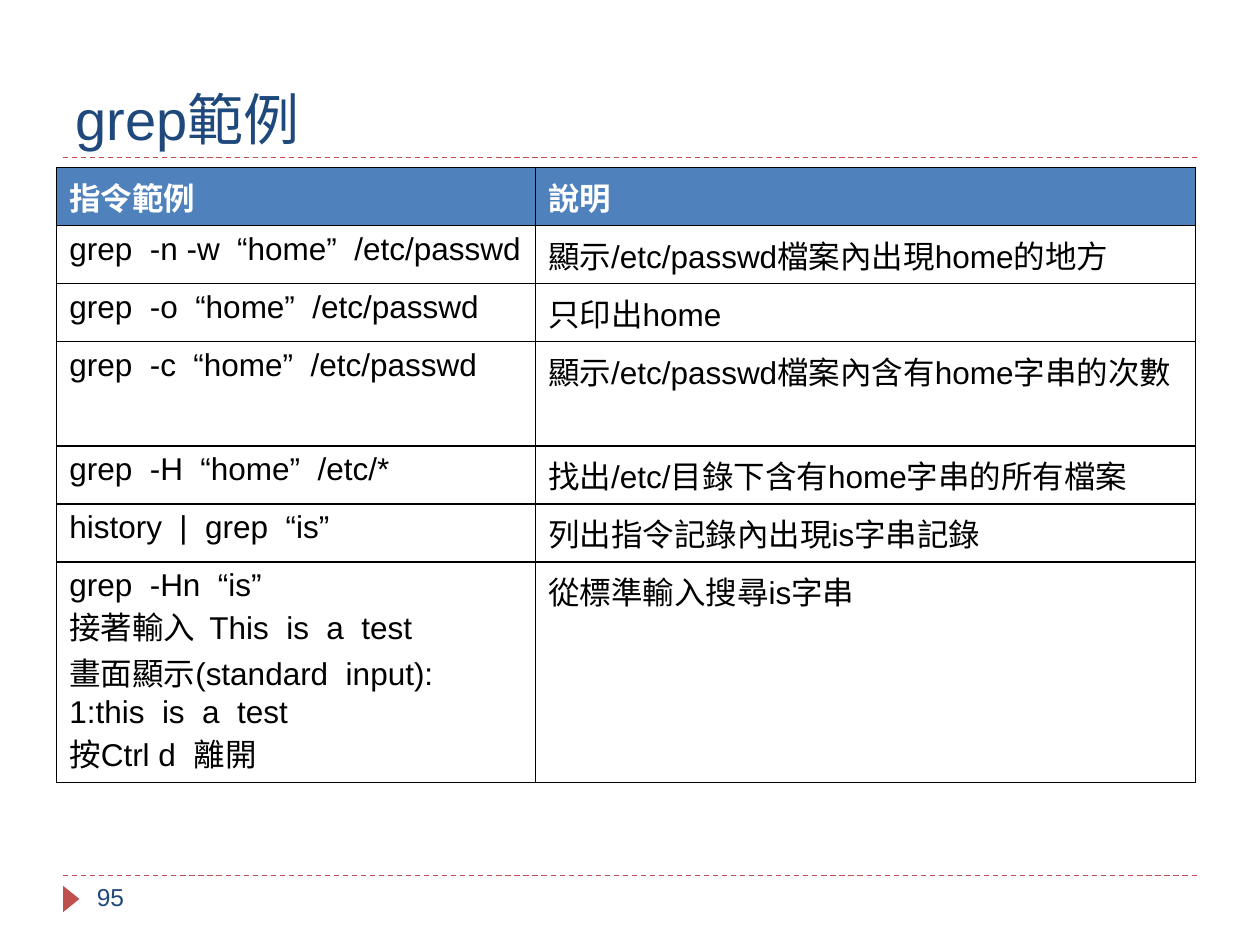
import dataclasses
import pptx
import pptx.dml.color
import pptx.enum.dml
import pptx.enum.shapes
import pptx.enum.text
import pptx.oxml
import pptx.oxml.ns
import pptx.util
from pptx.util import Inches

RGB = pptx.dml.color.RGBColor.from_string


@dataclasses.dataclass(frozen=True)
class Theme:
    font: str = "Arial"
    navy: str = "1F497D"
    blue: str = "4F81BD"
    red: str = "C0504D"
    black: str = "000000"
    white: str = "FFFFFF"
    title: int = 32
    body: int = 18
    page: int = 14


@dataclasses.dataclass(frozen=True)
class Row:
    code: str
    note: str
    high: float = 0.46


THEME = Theme()
ROWS = [
    Row("指令範例", "說明"),
    Row("grep  -n -w  “home”  /etc/passwd", "顯示/etc/passwd檔案內出現home的地方"),
    Row("grep  -o  “home”  /etc/passwd", "只印出home"),
    Row("grep  -c  “home”  /etc/passwd", "顯示/etc/passwd檔案內含有home字串的次數", 0.83),
    Row("grep  -H  “home”  /etc/*", "找出/etc/目錄下含有home字串的所有檔案"),
    Row("history  |  grep  “is”", "列出指令記錄內出現is字串記錄"),
    Row("grep  -Hn  “is”\n接著輸入  This  is  a  test\n畫面顯示(standard  input):\n"
        "1:this  is  a  test\n按Ctrl d  離開", "從標準輸入搜尋is字串", 1.75),
]


def write(frame, text: str, size: int, color: str, bold: bool = False) -> None:
    frame.word_wrap = True
    frame.text = text
    for para in frame.paragraphs:
        para.font.name = THEME.font
        para.font.size = pptx.util.Pt(size)
        para.font.bold = bold
        para.font.color.rgb = RGB(color)


def add_text(slide, box: tuple, text: str, size: int, anchor) -> None:
    frame = slide.shapes.add_textbox(*map(Inches, box)).text_frame
    write(frame, text, size, THEME.navy)
    frame.vertical_anchor = anchor


def add_rule(slide, y: float) -> None:
    rule = slide.shapes.add_connector(
        pptx.enum.shapes.MSO_CONNECTOR.STRAIGHT,
        Inches(0.5), Inches(y), Inches(9.5), Inches(y))
    rule.line.color.rgb = RGB(THEME.red)
    rule.line.width = pptx.util.Pt(0.75)
    rule.line.dash_style = pptx.enum.dml.MSO_LINE.DASH
    props = rule.element.find(pptx.oxml.ns.qn("p:spPr"))
    props.append(pptx.oxml.parse_xml(
        f'<a:effectLst {pptx.oxml.ns.nsdecls("a")}/>'))


def add_mark(slide) -> None:
    mark = slide.shapes.add_shape(
        pptx.enum.shapes.MSO_SHAPE.ISOSCELES_TRIANGLE,
        Inches(0.46), Inches(7.07), Inches(0.21), Inches(0.13))
    mark.rotation = 90
    mark.shadow.inherit = False
    mark.fill.solid()
    mark.fill.fore_color.rgb = RGB(THEME.red)
    mark.line.fill.background()


def add_edges(cell) -> None:
    props = cell._tc.get_or_add_tcPr()
    for i, side in enumerate(("lnL", "lnR", "lnT", "lnB")):
        props.insert(i, pptx.oxml.parse_xml(
            f'<a:{side} {pptx.oxml.ns.nsdecls("a")} w="{pptx.util.Pt(1)}">'
            f'<a:solidFill><a:srgbClr val="{THEME.black}"/></a:solidFill>'
            f'</a:{side}>'))


def fill_cell(cell, text: str, head: bool) -> None:
    write(cell.text_frame, text, THEME.body,
          THEME.white if head else THEME.black, head)
    if head:
        cell.fill.solid()
        cell.fill.fore_color.rgb = RGB(THEME.blue)
    else:
        cell.fill.background()
    add_edges(cell)


def add_grid(slide, rows: list[Row]) -> None:
    grid = slide.shapes.add_table(
        len(rows), 2, Inches(0.45), Inches(1.33),
        Inches(9.04), Inches(sum(row.high for row in rows))).table
    grid.horz_banding = False
    for col, width in zip(grid.columns, (3.8, 5.24)):
        col.width = Inches(width)
    for i, row in enumerate(rows):
        grid.rows[i].height = Inches(row.high)
        for j, text in enumerate((row.code, row.note)):
            fill_cell(grid.cell(i, j), text, i == 0)


def main() -> None:
    deck = pptx.Presentation()
    deck.slide_width, deck.slide_height = Inches(10), Inches(7.5)
    slide = deck.slides.add_slide(deck.slide_layouts[6])
    for y in (6.95, 1.25):
        add_rule(slide, y)
    add_mark(slide)
    anchor = pptx.enum.text.MSO_ANCHOR
    add_text(slide, (0.5, 0.17, 9, 1.08), "grep範例", THEME.title, anchor.BOTTOM)
    add_text(slide, (0.67, 6.95, 2.17, 0.4), "95", THEME.page, anchor.TOP)
    add_grid(slide, ROWS)
    deck.save("out.pptx")


if __name__ == "__main__":
    main()
